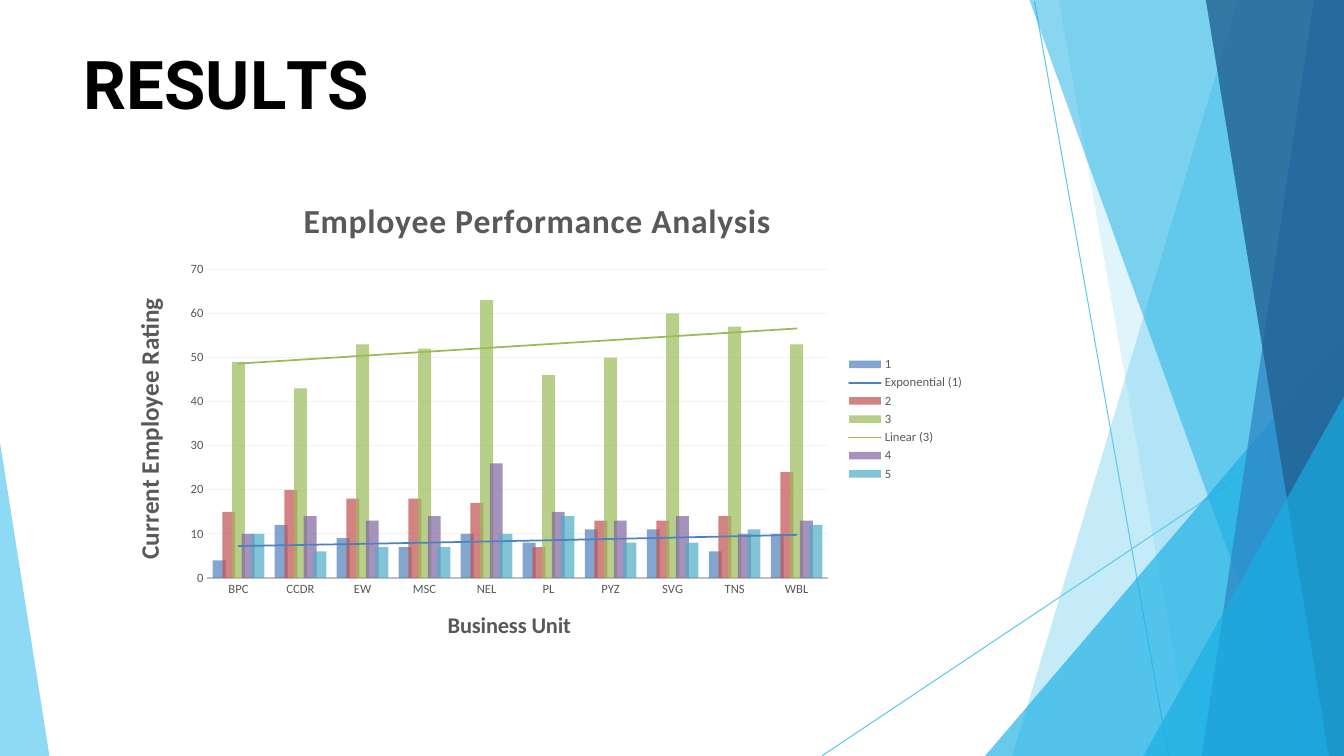
from lxml.etree import SubElement
from pptx import Presentation
from pptx.chart.data import CategoryChartData
from pptx.dml.color import RGBColor
from pptx.enum.chart import XL_CHART_TYPE as CT, XL_LEGEND_POSITION as LP, XL_TICK_MARK as TM
from pptx.enum.shapes import MSO_CONNECTOR as CONN
from pptx.enum.text import MSO_ANCHOR, MSO_AUTO_SIZE, PP_ALIGN
from pptx.oxml import parse_xml
from pptx.oxml.ns import nsdecls, qn
from pptx.util import Inches, Pt

W, H = 13.33, 7.5
COLORS = {
    "sky": "5FCAEE", "cyan": "17AFE3", "blue": "2D83C3", "navy": "226192",
    "black": "000000", "gray": "595959", "axis": "BFBFBF", "grid": "F2F2F2",
    "1": "4F81BD", "2": "C0504D", "3": "9BBB59", "4": "8064A2", "5": "4BACC6",
}
RAYS = [((10.26, 0.01), (11.59, H)), ((W, 4.04), (8.15, H))]
FACETS = [
    ("sky", 36, [(W, 0), (12.28, 0), (10.04, H), (W, H)]),
    ("sky", 20, [(W, 0), (10.5, 0), (11.82, H), (W, H)]),
    ("cyan", 66, [(W, 3.33), (9.77, H), (W, H)]),
    ("cyan", 50, [(W, 0), (10.21, 0), (12.91, H), (W, H)]),
    ("blue", 70, [(W, 0), (13.03, 0), (11.92, H), (W, H)]),
    ("navy", 80, [(W, 0), (11.96, 0), (13.18, H), (W, H)]),
    ("cyan", 66, [(W, 3.93), (11.34, H), (W, H)]),
    ("sky", 70, [(0, 4.39), (0, H), (0.49, H)]),
]
HEADING = [("R", 0), ("E", -0.4), ("S", 0.1), ("U", -0.3), ("L", -4), ("TS", 0)]
UNITS = ["BPC", "CCDR", "EW", "MSC", "NEL", "PL", "PYZ", "SVG", "TNS", "WBL"]
RATINGS = {
    "1": [4, 12, 9, 7, 10, 8, 11, 11, 6, 10],
    "2": [15, 20, 18, 18, 17, 7, 13, 13, 14, 24],
    "3": [49, 43, 53, 52, 63, 46, 50, 60, 57, 53],
    "4": [10, 14, 13, 14, 26, 15, 13, 14, 10, 13],
    "5": [10, 6, 7, 7, 10, 14, 8, 8, 11, 12],
}
TRENDS = {"1": "exp", "3": "linear"}


def rgb(name):
    """Return the named colour."""
    return RGBColor.from_string(COLORS[name])


def fill_alpha(fill, name, alpha):
    """Fill with a named colour at a percentage of opacity."""
    fill.solid()
    fill.fore_color.rgb = rgb(name)
    clr = fill._xPr.find(qn("a:solidFill"))[0]
    SubElement(clr, qn("a:alpha")).set("val", str(alpha * 1000))


def style_font(font, size, name="gray", bold=False, face="Calibri"):
    """Set the face, size, colour and weight of a font."""
    font.name, font.size, font.bold = face, Pt(size), bold
    font.color.rgb = rgb(name)


def add_backdrop(slide):
    """Draw the thin rays and the translucent facets."""
    for start, end in RAYS:
        ray = slide.shapes.add_connector(
            CONN.STRAIGHT, *(Inches(v) for v in start + end))
        ray.line.color.rgb = rgb("sky")
        ray.line.width = Pt(0.75)
        SubElement(ray._element.spPr, qn("a:effectLst"))
    for name, alpha, points in FACETS:
        start, *rest = [(Inches(x), Inches(y)) for x, y in points]
        fb = slide.shapes.build_freeform(*start)
        fb.add_line_segments(rest, close=True)
        sp = fb.convert_to_shape()
        sp.shadow.inherit = False
        sp.line.fill.background()
        fill_alpha(sp.fill, name, alpha)


def add_heading(slide, box):
    """Place the slide title, letter-spaced run by run."""
    title = slide.shapes.title
    title.left, title.top, title.width, title.height = (Inches(v) for v in box)
    tf = title.text_frame
    tf.margin_left = tf.margin_top = tf.margin_right = tf.margin_bottom = 0
    tf.vertical_anchor = MSO_ANCHOR.TOP
    tf.auto_size = MSO_AUTO_SIZE.SHAPE_TO_FIT_TEXT
    p = tf.paragraphs[0]
    p.alignment = PP_ALIGN.LEFT
    for text, spacing in HEADING:
        r = p.add_run()
        r.text = text
        style_font(r.font, 48, "black", True, "Roboto")
        r._r.get_or_add_rPr().set("spc", str(round(spacing * 100)))


def place(part, x, y, w=None, h=None):
    """Fix a chart part at shares of the chart's size."""
    for old in part.findall(qn("c:layout")):
        part.remove(old)
    layout = parse_xml(f"<c:layout {nsdecls('c')}><c:manualLayout/></c:layout>")
    fields = {"xMode": "edge", "yMode": "edge", "x": x, "y": y, "w": w, "h": h}
    is_plot = part.tag == qn("c:plotArea")
    if is_plot:
        fields = {"layoutTarget": "inner", **fields}
    for key, value in fields.items():
        if value is not None:
            SubElement(layout[0], qn(f"c:{key}")).set("val", str(value))
    part.insert(0 if is_plot else 1, layout)


def set_title(owner, text, size, x, y, spacing=0):
    """Title a chart or an axis and place the title."""
    owner.has_title = True
    title = owner.chart_title if hasattr(owner, "chart_title") else owner.axis_title
    tf = title.text_frame
    tf.text = text
    r = tf.paragraphs[0].runs[0]
    style_font(r.font, size, bold=True)
    r._r.get_or_add_rPr().set("spc", str(spacing))
    place(title._element, x, y)
    return tf


def add_trend(series, kind):
    """Add a trend line in the colour of its series."""
    trend = parse_xml(
        f'<c:trendline {nsdecls("c", "a")}><c:spPr><a:ln w="{Pt(1.25)}" cap="rnd">'
        f'<a:solidFill><a:srgbClr val="{COLORS[series.name]}"/></a:solidFill></a:ln>'
        f'</c:spPr><c:trendlineType val="{kind}"/><c:dispRSqr val="0"/>'
        '<c:dispEq val="0"/></c:trendline>')
    series._element.find(qn("c:cat")).addprevious(trend)


def style_axes(chart):
    """Format both axes, their titles and the gridlines."""
    cat, val = chart.category_axis, chart.value_axis
    for axis in (cat, val):
        axis.major_tick_mark = axis.minor_tick_mark = TM.NONE
        style_font(axis.tick_labels.font, 9)
    cat.format.line.color.rgb = rgb("axis")
    cat.format.line.width = Pt(1.25)
    cat.has_major_gridlines = False
    val.format.line.fill.background()
    val.minimum_scale, val.maximum_scale, val.major_unit = 0, 70, 10
    val.has_major_gridlines = True
    val.major_gridlines.format.line.color.rgb = rgb("grid")
    val.major_gridlines.format.line.width = Pt(0.75)
    set_title(cat, "Business Unit", 16, 0.387, 0.882)
    body = set_title(val, "Current Employee Rating", 18, 0.021, 0.241)._txBody.bodyPr
    body.set("rot", "-5400000")
    body.set("vert", "horz")


def add_ratings_chart(slide, box):
    """Chart the ratings of each business unit with two trend lines."""
    data = CategoryChartData()
    data.categories = UNITS
    for name, values in RATINGS.items():
        data.add_series(name, values)
    chart = slide.shapes.add_chart(
        CT.COLUMN_CLUSTERED, *(Inches(v) for v in box), data).chart
    style_font(chart.font, 10, "black")
    set_title(chart, "Employee Performance Analysis", 24, 0.218, 0.032, 50)
    style_axes(chart)
    plot = chart.plots[0]
    plot.gap_width, plot.overlap, plot.vary_by_categories = 80, 25, False
    for series in plot.series:
        fill_alpha(series.format.fill, series.name, 70)
        series.invert_if_negative = False
        if series.name in TRENDS:
            add_trend(series, TRENDS[series.name])
    chart.has_legend = True
    chart.legend.position = LP.RIGHT
    chart.legend.include_in_layout = False
    style_font(chart.legend.font, 9)
    place(chart.legend._element, 0.851, 0.364, 0.14, 0.27)
    place(chart._chartSpace.chart.plotArea, 0.114, 0.191, 0.717, 0.634)


def main():
    """Build and save the slide."""
    prs = Presentation()
    prs.slide_width, prs.slide_height = Inches(W), Inches(H)
    slide = prs.slides.add_slide(prs.slide_layouts[5])
    add_backdrop(slide)
    add_heading(slide, (0.83, 0.42, 11.68, 0.81))
    add_ratings_chart(slide, (1.08, 1.75, 8.58, 4.83))
    prs.save("out.pptx")


if __name__ == "__main__":
    main()
